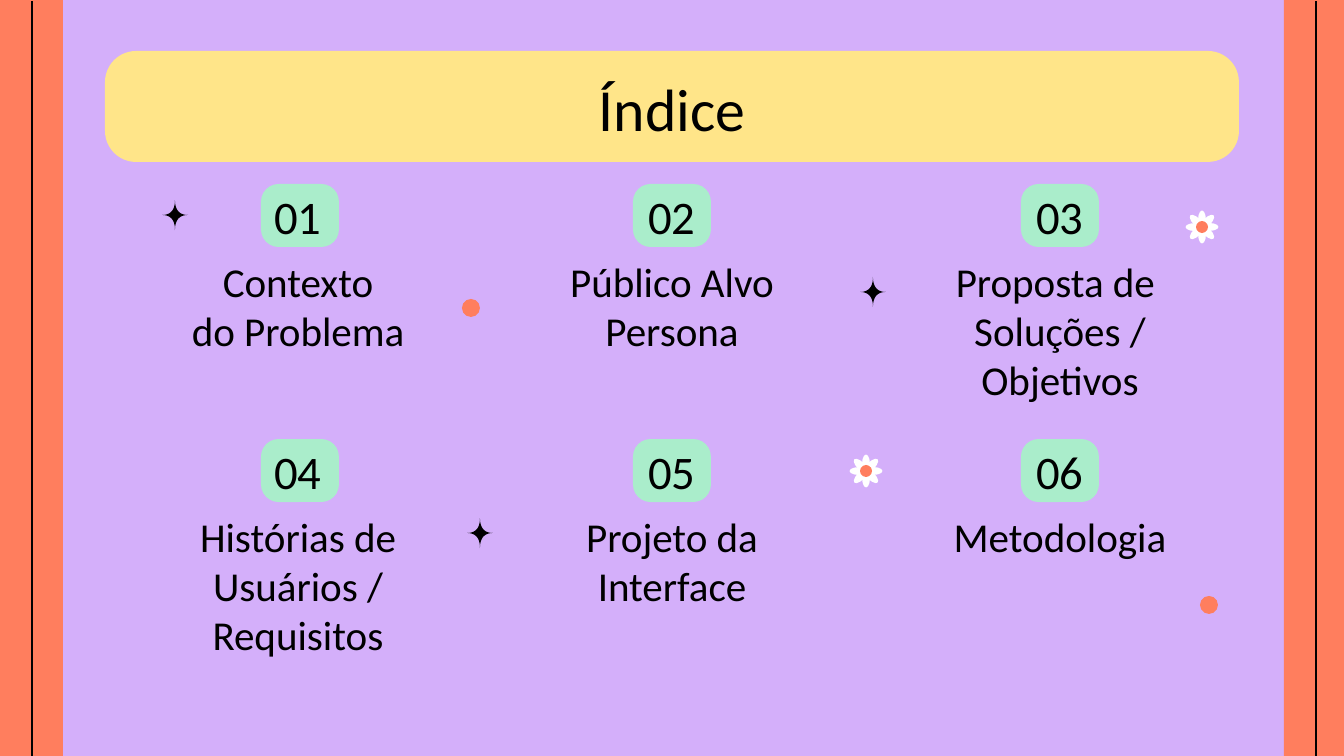
from math import cos, copysign, pi, radians, sin

from lxml import etree
from pptx import Presentation
from pptx.dml.color import RGBColor
from pptx.enum.shapes import MSO_CONNECTOR, MSO_SHAPE as Preset
from pptx.enum.text import MSO_ANCHOR as Anchor, PP_ALIGN as Align
from pptx.oxml.ns import qn
from pptx.util import Pt

PX = 914400 / 134.4
CORAL, MINT, YELLOW, LILAC = "FF7E5E", "AAEDCB", "FFE589", "D4AFFA"
BLACK, WHITE = "000000", "FFFFFF"


def px(*lengths):
    """Turn pixel lengths into EMU."""
    return [round(length * PX) for length in lengths]


def paint(shape, color):
    """Fill a shape with a plain colour, without outline or shadow."""
    shape.shadow.inherit = False
    shape.fill.solid()
    shape.fill.fore_color.rgb = RGBColor.from_string(color)
    shape.line.fill.background()


prs = Presentation()
prs.slide_width, prs.slide_height = px(1344, 756)
slide = prs.slides.add_slide(prs.slide_layouts[6])
shapes = slide.shapes
slide.background.fill.solid()
slide.background.fill.fore_color.rgb = RGBColor.from_string(LILAC)

# Side bands, each with a thin vertical rule
for band_x in (0, 1284):
    paint(shapes.add_shape(Preset.RECTANGLE, *px(band_x, 0, 63, 756)), CORAL)
    rule_x = band_x + 32
    rule = shapes.add_connector(MSO_CONNECTOR.STRAIGHT, *px(rule_x, 756, rule_x, 1))
    rule.line.color.rgb = RGBColor.from_string(BLACK)
    rule.line.width = Pt(0.75)
    etree.SubElement(rule._element.spPr, qn("a:effectLst"))

# Title banner, number badges and topics
row_tops = (184, 439)
columns = ((300, 298), (672, 672), (1060, 1060))  # badge centre, text centre
topics = (
    "Contexto\ndo Problema",
    "Público Alvo\nPersona",
    "Proposta de \nSoluções / Objetivos",
    "Histórias de Usuários /\nRequisitos",
    "Projeto da Interface",
    "Metodologia",
)
panels = [((105, 51, 1134, 111), YELLOW)]
texts = [("Índice", (105, 65, 1134, 85), 32, Anchor.MIDDLE)]
for index, topic in enumerate(topics):
    top = row_tops[index // 3]
    badge_center, text_center = columns[index % 3]
    panels.append(((badge_center - 39, top, 78, 63), MINT))
    texts.append((f"{index + 1:02}", (text_center - 60, top + 8, 120, 47), 25, Anchor.MIDDLE))
    texts.append((topic, (text_center - 165, top + 59, 330, 110), 22, Anchor.TOP))

for box, color in panels:
    panel = shapes.add_shape(Preset.ROUNDED_RECTANGLE, *px(*box))
    panel.adjustments[0] = 0.28
    paint(panel, color)

for wording, box, size, anchor in texts:
    frame = shapes.add_textbox(*px(*box)).text_frame
    frame.word_wrap = True
    frame.vertical_anchor = anchor
    frame.margin_left = frame.margin_right = frame.margin_top = frame.margin_bottom = px(13)[0]
    paragraph = frame.paragraphs[0]
    paragraph.text = wording
    paragraph.alignment = Align.CENTER
    paragraph.font.name = "Calibri"
    paragraph.font.size = Pt(size)
    paragraph.font.color.rgb = RGBColor.from_string(BLACK)

# Sparkles: four tips joined by inward curves
for center_x, center_y in ((175, 215), (480, 533), (873, 292)):
    outline = []
    for step in range(64):
        angle = step * pi / 32
        across, down = (copysign(abs(part) ** 4, part) for part in (cos(angle), sin(angle)))
        outline.append(px(center_x + 13 * across, center_y + 15 * down))
    builder = shapes.build_freeform(*outline[0])
    builder.add_line_segments(outline[1:])
    paint(builder.convert_to_shape(), BLACK)

# Flowers: eight petals around a coral centre
for center_x, center_y in ((866, 471), (1202, 227)):
    flower = shapes.add_group_shape().shapes
    for turn in range(0, 360, 45):
        petal_x = center_x + 7 * cos(radians(turn))
        petal_y = center_y + 7 * sin(radians(turn))
        petal = flower.add_shape(Preset.OVAL, *px(petal_x - 9.5, petal_y - 4, 19, 8))
        petal.rotation = turn
        paint(petal, WHITE)
    paint(flower.add_shape(Preset.OVAL, *px(center_x - 6, center_y - 6, 12, 12)), CORAL)

for dot_x, dot_y in ((462, 299), (1200, 596)):
    paint(shapes.add_shape(Preset.OVAL, *px(dot_x, dot_y, 18, 18)), CORAL)

prs.save("out.pptx")
